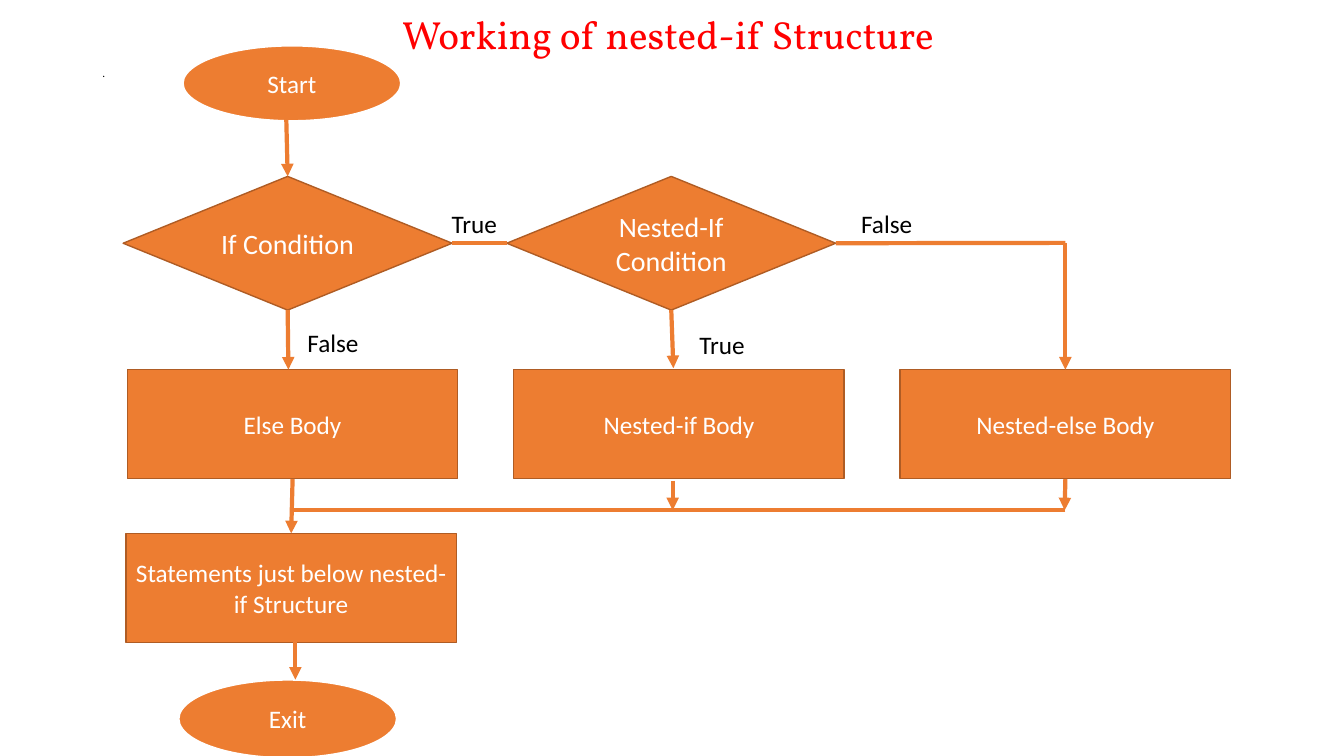
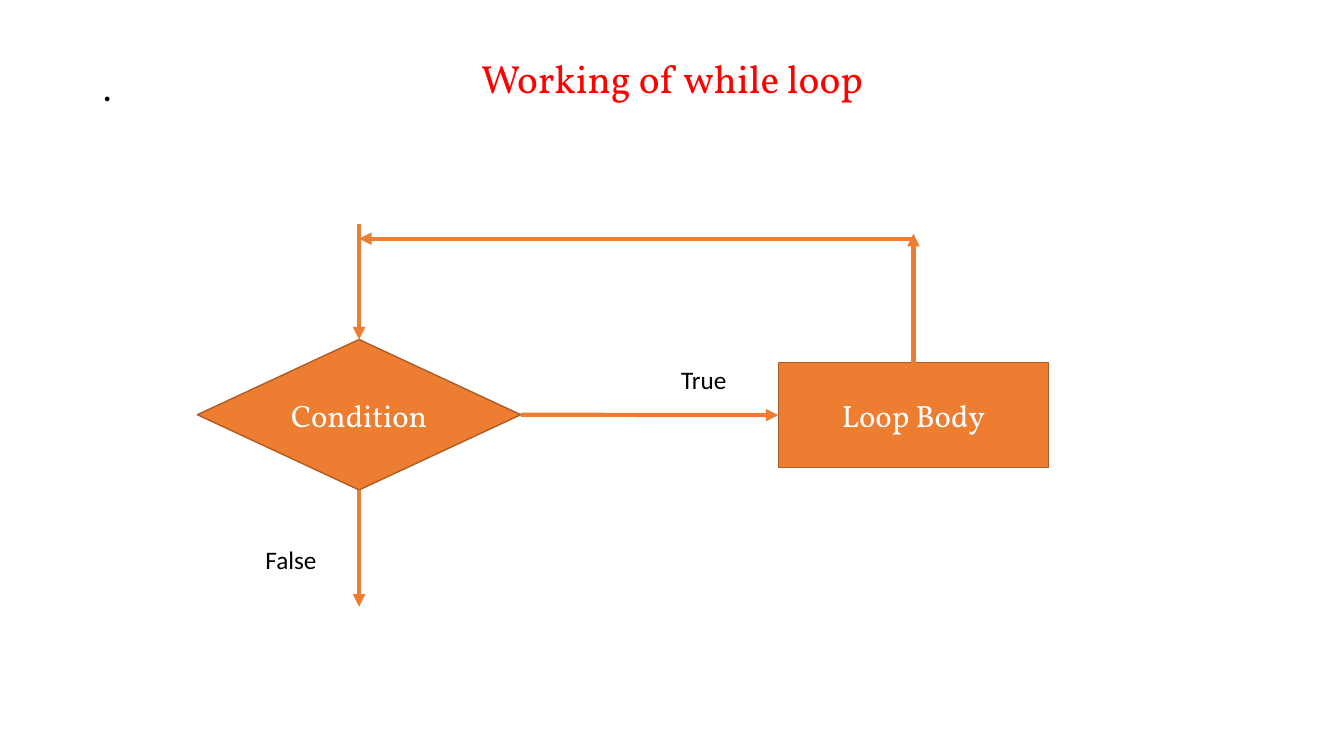
from collections import namedtuple

from lxml import etree
from pptx import Presentation
from pptx.dml.color import RGBColor
from pptx.enum.shapes import MSO_CONNECTOR, MSO_SHAPE
from pptx.enum.text import MSO_ANCHOR, MSO_AUTO_SIZE, PP_ALIGN
from pptx.oxml.ns import qn
from pptx.util import Pt

DIAMOND, OVAL, RECT = MSO_SHAPE.DIAMOND, MSO_SHAPE.OVAL, MSO_SHAPE.RECTANGLE
STRAIGHT = MSO_CONNECTOR.STRAIGHT
CENTER, LEFT = PP_ALIGN.CENTER, PP_ALIGN.LEFT
MIDDLE, UPPER = MSO_ANCHOR.MIDDLE, MSO_ANCHOR.TOP
GROW = MSO_AUTO_SIZE.SHAPE_TO_FIT_TEXT

ORANGE, BROWN, RED, WHITE, BLACK = "ED7D31", "AF5C24", "FF0000", "FFFFFF", "000000"
BODY_FONT, TITLE_FONT = "Calibri", "Vollkorn"
TOP_SIDE, LEFT_SIDE, BOTTOM_SIDE, RIGHT_SIDE = range(4)

MARGIN, CONTENT_WIDTH = 66, 828
TITLE_PARAGRAPH = {"alignment": CENTER, "line_spacing": 0.9}
BODY_PARAGRAPH = {"alignment": LEFT, "line_spacing": 0.9, "space_before": Pt(10)}

Side = namedtuple("Side", "shape index")


def rgb(color):
    return RGBColor.from_string(color)


def write(frame, text, size, color, font=BODY_FONT, anchor=MIDDLE, paragraph_format=None):
    frame.word_wrap = True
    frame.vertical_anchor = anchor
    paragraph = frame.paragraphs[0]
    for name, value in (paragraph_format or {"alignment": CENTER}).items():
        setattr(paragraph, name, value)
    run = paragraph.add_run()
    run.text = text
    for name, value in {"name": font, "size": Pt(size)}.items():
        setattr(run.font, name, value)
    run.font.color.rgb = rgb(color)


def add_text(slide, box, text, size, color, **text_format):
    frame = slide.shapes.add_textbox(*map(Pt, box)).text_frame
    write(frame, text, size, color, **text_format)
    return frame


def add_label(slide, left, top, text, width=56):
    frame = add_text(slide, (left, top, width, 29), text, 18, BLACK,
                     anchor=UPPER, paragraph_format={"alignment": LEFT})
    frame.auto_size = GROW


def add_node(slide, kind, box, text, size=18, font=BODY_FONT, outline=BROWN, outline_width=1):
    node = slide.shapes.add_shape(kind, *map(Pt, box))
    node.shadow.inherit = False
    node.fill.solid()
    node.fill.fore_color.rgb = rgb(ORANGE)
    node.line.color.rgb = rgb(outline)
    node.line.width = Pt(outline_width)
    write(node.text_frame, text, size, WHITE, font)
    return node


def add_terminal(slide, left, top, height, text):
    return add_node(slide, OVAL, (left, top, 156, height), text,
                    outline=WHITE, outline_width=1.5)


def add_link(slide, start, end, arrow=True):
    link = slide.shapes.add_connector(STRAIGHT, 0, 0, 0, 0)
    if isinstance(start, Side):
        link.begin_connect(*start)
    else:
        link.begin_x, link.begin_y = map(Pt, start)
    if isinstance(end, Side):
        link.end_connect(*end)
    else:
        link.end_x, link.end_y = map(Pt, end)
    link.line.color.rgb = rgb(ORANGE)
    link.line.width = Pt(3)
    if arrow:
        etree.SubElement(link.line._get_or_add_ln(), qn("a:tailEnd"), type="triangle")
    etree.SubElement(link._element.spPr, qn("a:effectLst"))


def start_slide(deck, title, title_top, dot_size):
    slide = deck.slides.add_slide(deck.slide_layouts[6])
    add_text(slide, (MARGIN, title_top, CONTENT_WIDTH, 40), title, 28, RED,
             font=TITLE_FONT, paragraph_format=TITLE_PARAGRAPH)
    add_text(slide, (MARGIN, 45, CONTENT_WIDTH, 440), ".", dot_size, BLACK,
             anchor=UPPER, paragraph_format=BODY_PARAGRAPH)
    return slide


def build_nested_if(deck):
    slide = start_slide(deck, "Working of nested-if Structure ", 6, 8)
    add_terminal(slide, 130.5, 32.5, 54, "Start")
    add_terminal(slide, 127.5, 485.5, 56, "Exit")
    condition, nested_condition = [
        add_node(slide, DIAMOND, (88 + 274 * column, 126, 235, 95.5), text, 20)
        for column, text in enumerate(["If Condition", "Nested-If Condition"])]
    else_body, _, nested_else = [
        add_node(slide, RECT, (91 + 276 * column, 264, 236, 78), text)
        for column, text in enumerate(["Else Body", "Nested-if Body", "Nested-else Body"])]
    statements = add_node(slide, RECT, (90, 381, 236, 78),
                          "Statements just below nested-if Structure")

    for left, top, text in [(492.5, 232, "True"), (315.5, 145.5, "True"),
                            (608, 145.5, "False"), (212.5, 230, "False")]:
        add_label(slide, left, top, text)

    merge_y, corner = 364.5, (761, 173.5)
    for start, end in [
        ((204.5, 85), Side(condition, TOP_SIDE)),
        (Side(condition, BOTTOM_SIDE), (206, 264)),
        (Side(nested_condition, BOTTOM_SIDE), (481, 263)),
        (corner, Side(nested_else, TOP_SIDE)),
        (Side(else_body, BOTTOM_SIDE), Side(statements, TOP_SIDE)),
        ((480.5, 343.5), (480.5, merge_y)),
        (Side(nested_else, BOTTOM_SIDE), (760.5, merge_y)),
        ((211, 458), (211, 485.5)),
    ]:
        add_link(slide, start, end)
    for start, end in [
        (Side(condition, RIGHT_SIDE), Side(nested_condition, LEFT_SIDE)),
        (Side(nested_condition, RIGHT_SIDE), corner),
        ((761, merge_y), (208, merge_y)),
    ]:
        add_link(slide, start, end, arrow=False)


def build_while_loop(deck):
    slide = start_slide(deck, "Working of while loop", 38, 28)
    condition = add_node(slide, DIAMOND, (141, 242.5, 231, 107.5), "Condition", 22, TITLE_FONT)
    loop_body = add_node(slide, RECT, (556, 259, 193, 75), "Loop Body", 22, TITLE_FONT)
    entry_x, return_x, return_y = 256.5, 652.5, 170.5
    for start, end in [
        ((entry_x, 160), Side(condition, TOP_SIDE)),
        (Side(condition, BOTTOM_SIDE), (entry_x, 433.5)),
        (Side(condition, RIGHT_SIDE), Side(loop_body, LEFT_SIDE)),
        (Side(loop_body, TOP_SIDE), (return_x, 167)),
        ((return_x, return_y), (entry_x, return_y)),
    ]:
        add_link(slide, start, end)
    add_label(slide, 182.5, 385, "False", 65)
    add_label(slide, 479.5, 257, "True", 65)


def main():
    deck = Presentation()
    deck.slide_width, deck.slide_height = Pt(960), Pt(540)
    build_nested_if(deck)
    build_while_loop(deck)
    deck.save("out.pptx")


if __name__ == "__main__":
    main()
